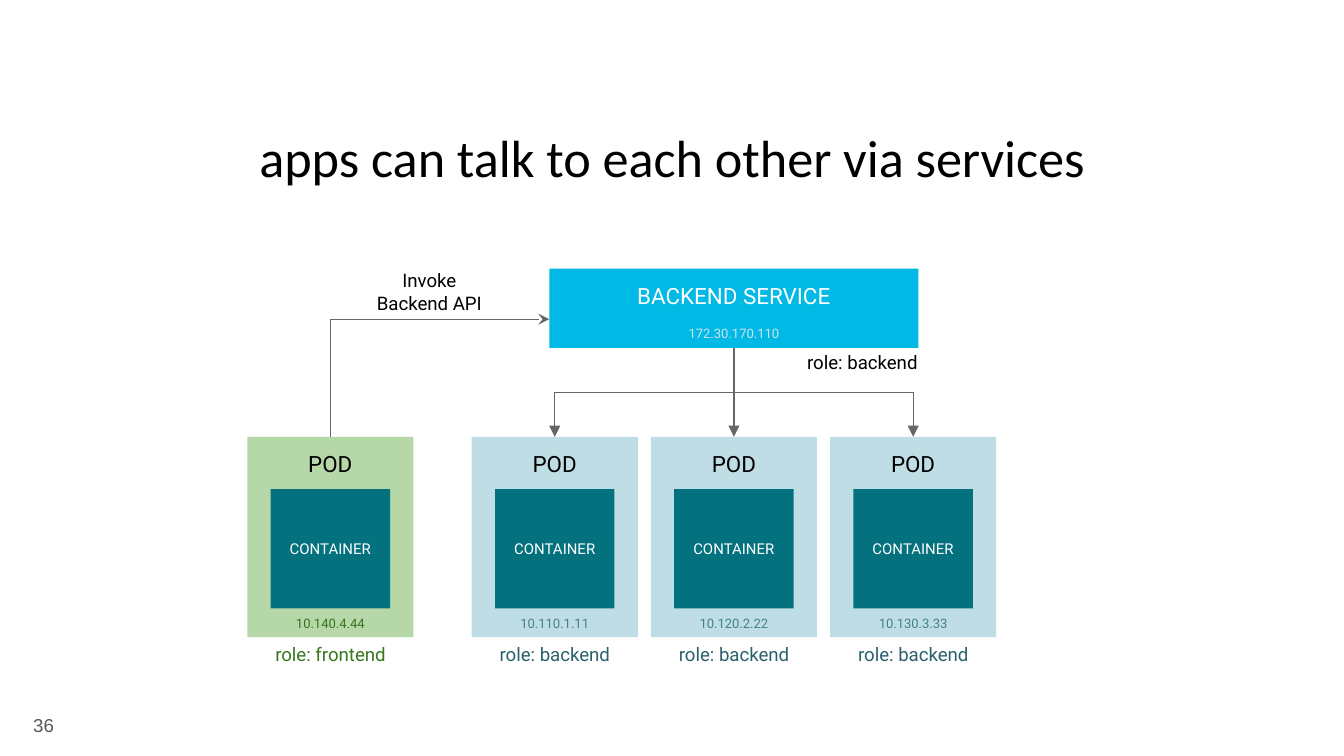
from dataclasses import dataclass

import lxml.etree
import pptx
import pptx.dml.color
import pptx.enum.shapes
import pptx.enum.text
import pptx.oxml.ns
import pptx.util

Pt = pptx.util.Pt
qn = pptx.oxml.ns.qn
ALIGN = pptx.enum.text.PP_ALIGN
ANCHOR = pptx.enum.text.MSO_ANCHOR
CONNECTOR = pptx.enum.shapes.MSO_CONNECTOR

COLORS = {
    "black": "000000",
    "white": "FFFFFF",
    "line": "666666",
    "page": "595959",
    "service": "00B9E4",
    "service_ip": "CFE2F3",
    "container": "03717E",
    "backend": "BFDDE4",
    "backend_role": "2B616C",
    "backend_ip": "45818E",
    "frontend": "B6D7A8",
    "frontend_text": "38761D",
}

# Geometry in points
POD_TOP, POD_WIDTH, POD_HEIGHT = 234, 89, 107.3
POD_PITCH = 96
CONTAINER_TOP, CONTAINER_SIZE = 262, 64
SERVICE_LEFT, SERVICE_TOP, SERVICE_WIDTH, SERVICE_HEIGHT = 294.3, 144, 197.8, 42.4
SERVICE_CENTER = SERVICE_LEFT + SERVICE_WIDTH / 2
SERVICE_BOTTOM = SERVICE_TOP + SERVICE_HEIGHT
INVOKE_Y = 171
INSET = 7.2


@dataclass
class Pod:
    center: float
    ip: str
    role: str
    fill: str
    role_color: str
    ip_color: str


FRONTEND = Pod(177, "10.140.4.44", "role: frontend",
               "frontend", "frontend_text", "frontend_text")
BACKENDS = [
    Pod(SERVICE_CENTER + (i - 1) * POD_PITCH, ip, "role: backend",
        "backend", "backend_role", "backend_ip")
    for i, ip in enumerate(["10.110.1.11", "10.120.2.22", "10.130.3.33"])
]


def rgb(color: str) -> pptx.dml.color.RGBColor:
    return pptx.dml.color.RGBColor.from_string(COLORS[color])


def write(shape, text: str, *, size: float, color: str = "black", font: str = "Roboto",
          align=ALIGN.CENTER, anchor=ANCHOR.TOP, bottom: float = INSET) -> None:
    frame = shape.text_frame
    frame.word_wrap = True
    frame.auto_size = pptx.enum.text.MSO_AUTO_SIZE.NONE
    frame.vertical_anchor = anchor
    frame.margin_left = frame.margin_right = frame.margin_top = Pt(INSET)
    frame.margin_bottom = Pt(bottom)
    paragraph = frame.paragraphs[0]
    paragraph.text = text
    paragraph.alignment = align
    for run in paragraph.runs:
        run.font.name = font
        run.font.size = Pt(size)
        run.font.color.rgb = rgb(color)


def add_label(slide, text: str, left: float, top: float, width: float, height: float,
              **text_format) -> None:
    label = slide.shapes.add_textbox(Pt(left), Pt(top), Pt(width), Pt(height))
    write(label, text, **text_format)


def add_block(slide, text: str, left: float, top: float, width: float, height: float,
              fill: str, **text_format):
    block = slide.shapes.add_shape(pptx.enum.shapes.MSO_SHAPE.RECTANGLE,
                                   Pt(left), Pt(top), Pt(width), Pt(height))
    block.shadow.inherit = False
    block.fill.solid()
    block.fill.fore_color.rgb = rgb(fill)
    block.line.fill.background()
    write(block, text, **text_format)
    return block


def add_pod(slide, pod: Pod):
    block = add_block(slide, "POD", pod.center - POD_WIDTH / 2, POD_TOP,
                      POD_WIDTH, POD_HEIGHT, pod.fill, size=12)
    add_block(slide, "CONTAINER", pod.center - CONTAINER_SIZE / 2, CONTAINER_TOP,
              CONTAINER_SIZE, CONTAINER_SIZE, "container",
              size=8, color="white", anchor=ANCHOR.MIDDLE)
    add_label(slide, pod.role, pod.center - 41, 337, 82, 26.6,
              size=10, color=pod.role_color)
    add_label(slide, pod.ip, pod.center - 26, 322.5, 52, 18.7,
              size=7, color=pod.ip_color)
    return block


def style_arrow(arrow, head: str) -> None:
    arrow.line.color.rgb = rgb("line")
    arrow.line.width = Pt(0.75)
    properties = arrow.element.spPr
    lxml.etree.SubElement(properties.find(qn("a:ln")), qn("a:tailEnd"), type=head)
    lxml.etree.SubElement(properties, qn("a:effectLst"))


def add_elbow(slide, start: tuple[float, float], end: tuple[float, float], *,
              preset: str, head: str, rotation: int, flip: bool = False) -> None:
    """Elbow that leaves its start vertically: a quarter-turned connector."""
    (x1, y1), (x2, y2) = start, end
    width, height = abs(y2 - y1), abs(x2 - x1)
    left, top = (x1 + x2 - width) / 2, (y1 + y2 - height) / 2
    elbow = slide.shapes.add_connector(CONNECTOR.ELBOW, Pt(left), Pt(top),
                                       Pt(left + width), Pt(top + height))
    properties = elbow.element.spPr
    transform = properties.find(qn("a:xfrm"))
    transform.set("rot", str(rotation * 60000))
    if flip:
        transform.set("flipH", "1")
    properties.find(qn("a:prstGeom")).set("prst", preset)
    style_arrow(elbow, head)


def main() -> None:
    deck = pptx.Presentation()
    deck.slide_width, deck.slide_height = Pt(720), Pt(405)
    slide = deck.slides.add_slide(deck.slide_layouts[5])

    # Title and page number
    title = slide.shapes.title
    title.left, title.top, title.width, title.height = Pt(65), Pt(42), Pt(590), Pt(83.5)
    write(title, "apps can talk to each other via services",
          size=28, font="Calibri", anchor=ANCHOR.MIDDLE)
    add_label(slide, "36", 8, 373, 28, 31, size=10, color="page", font="Arial",
              align=ALIGN.RIGHT, anchor=ANCHOR.MIDDLE)

    # Service; the deeper bottom inset leaves room for its address
    service = add_block(slide, "BACKEND SERVICE", SERVICE_LEFT, SERVICE_TOP,
                        SERVICE_WIDTH, SERVICE_HEIGHT, "service", size=12,
                        color="white", anchor=ANCHOR.MIDDLE, bottom=INSET + 14)
    add_label(slide, "172.30.170.110", SERVICE_CENTER - 32, 167, 64, 18.7,
              size=7, color="service_ip")
    add_label(slide, "role: backend", 425.3, 181, 82, 26.6, size=10, align=ALIGN.LEFT)

    # Pods
    add_pod(slide, FRONTEND)
    left_pod, middle_pod, right_pod = BACKENDS
    add_pod(slide, left_pod)
    middle_block = add_pod(slide, middle_pod)
    add_pod(slide, right_pod)

    # Call from the frontend to the service
    add_elbow(slide, (FRONTEND.center, POD_TOP), (SERVICE_LEFT, INVOKE_Y),
              preset="bentConnector2", head="stealth", rotation=270)
    add_label(slide, "Invoke\nBackend API", 185.5, 137, 89, 26.6, size=10)

    # Service fans out to the backend pods
    straight = slide.shapes.add_connector(CONNECTOR.STRAIGHT, 0, 0, 0, 0)
    straight.begin_connect(service, 2)
    straight.end_connect(middle_block, 0)
    style_arrow(straight, "triangle")
    for pod, rotation, flip in ((right_pod, 270, True), (left_pod, 90, False)):
        add_elbow(slide, (SERVICE_CENTER, SERVICE_BOTTOM), (pod.center, POD_TOP),
                  preset="bentConnector3", head="triangle", rotation=rotation, flip=flip)

    deck.save("out.pptx")


if __name__ == "__main__":
    main()
